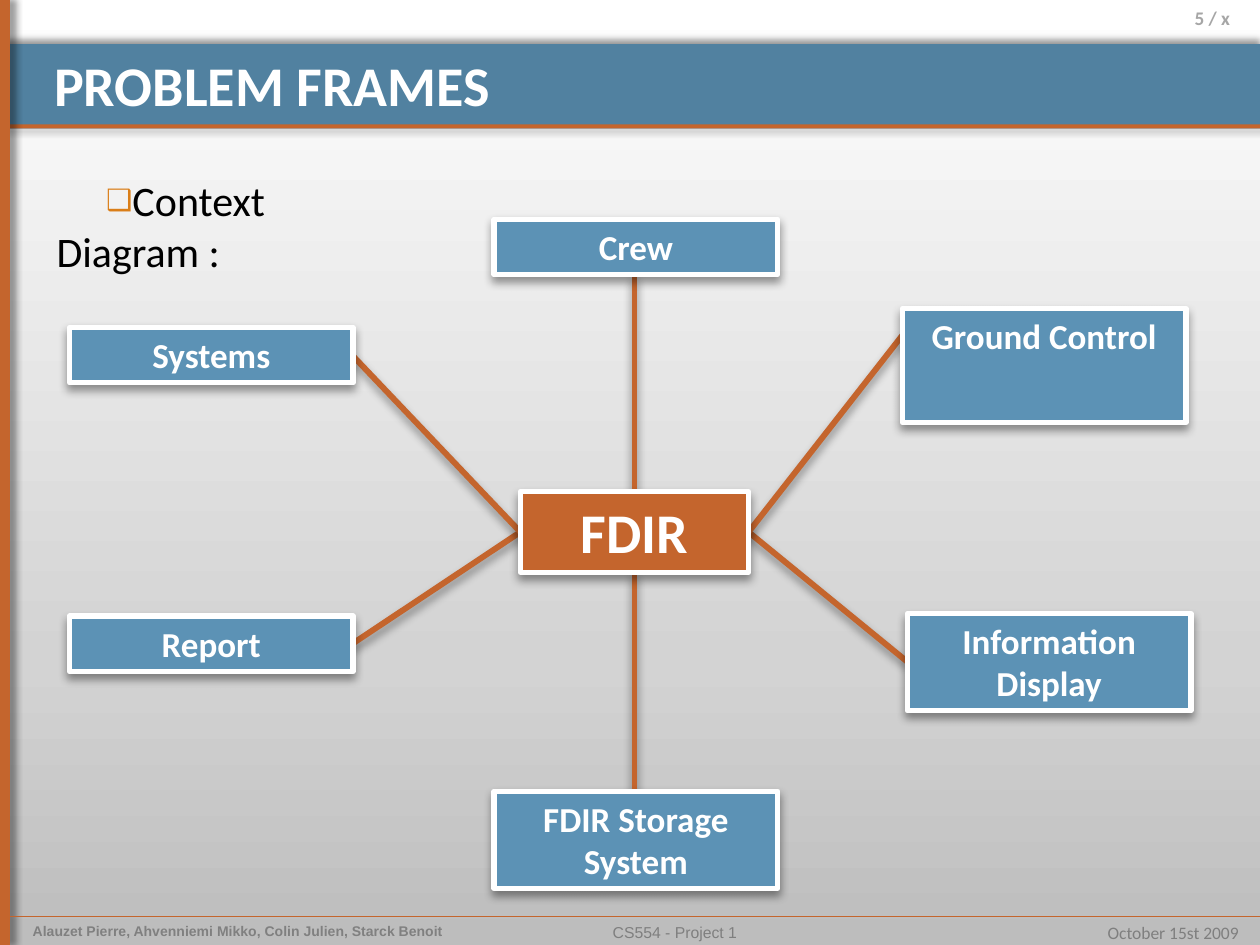
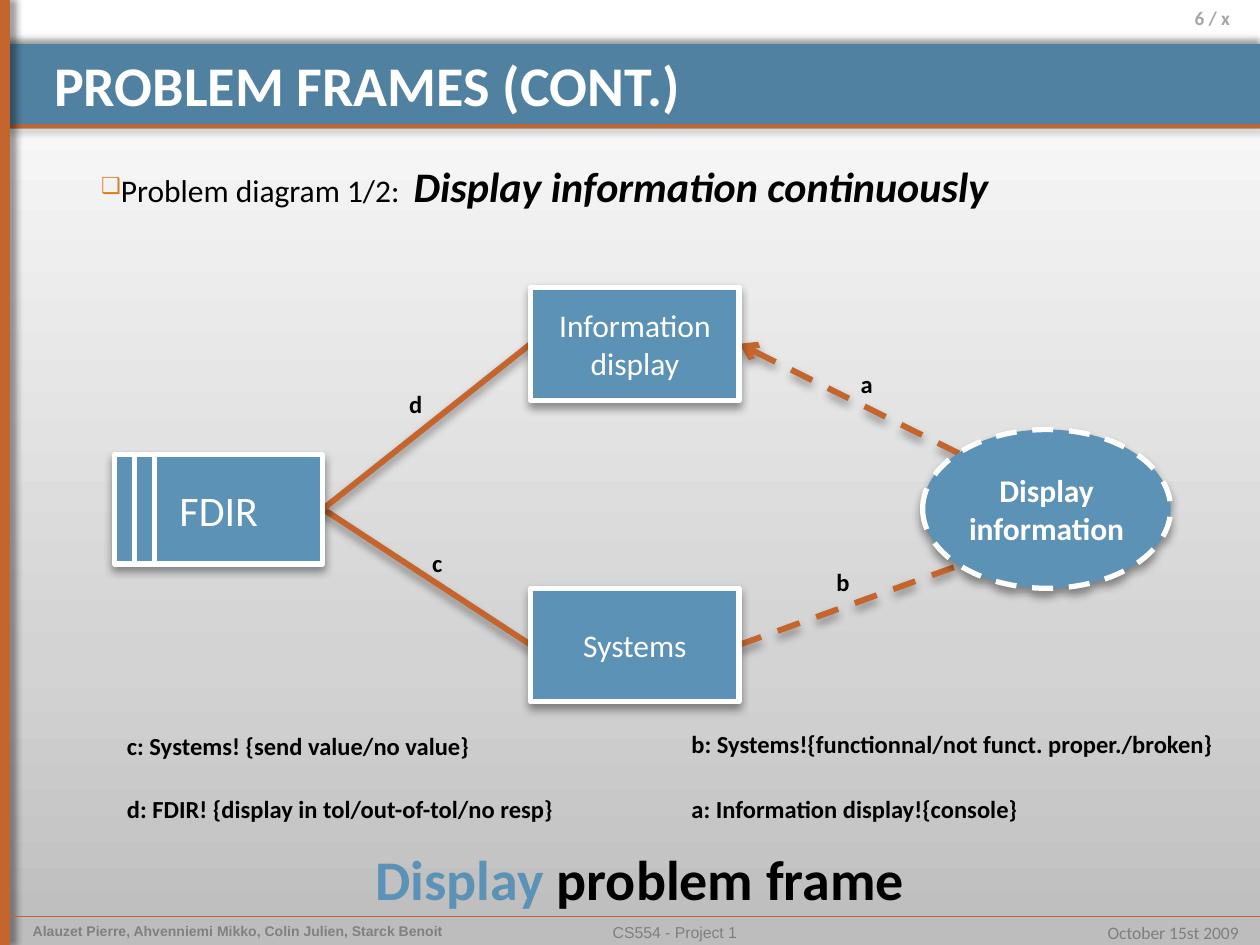
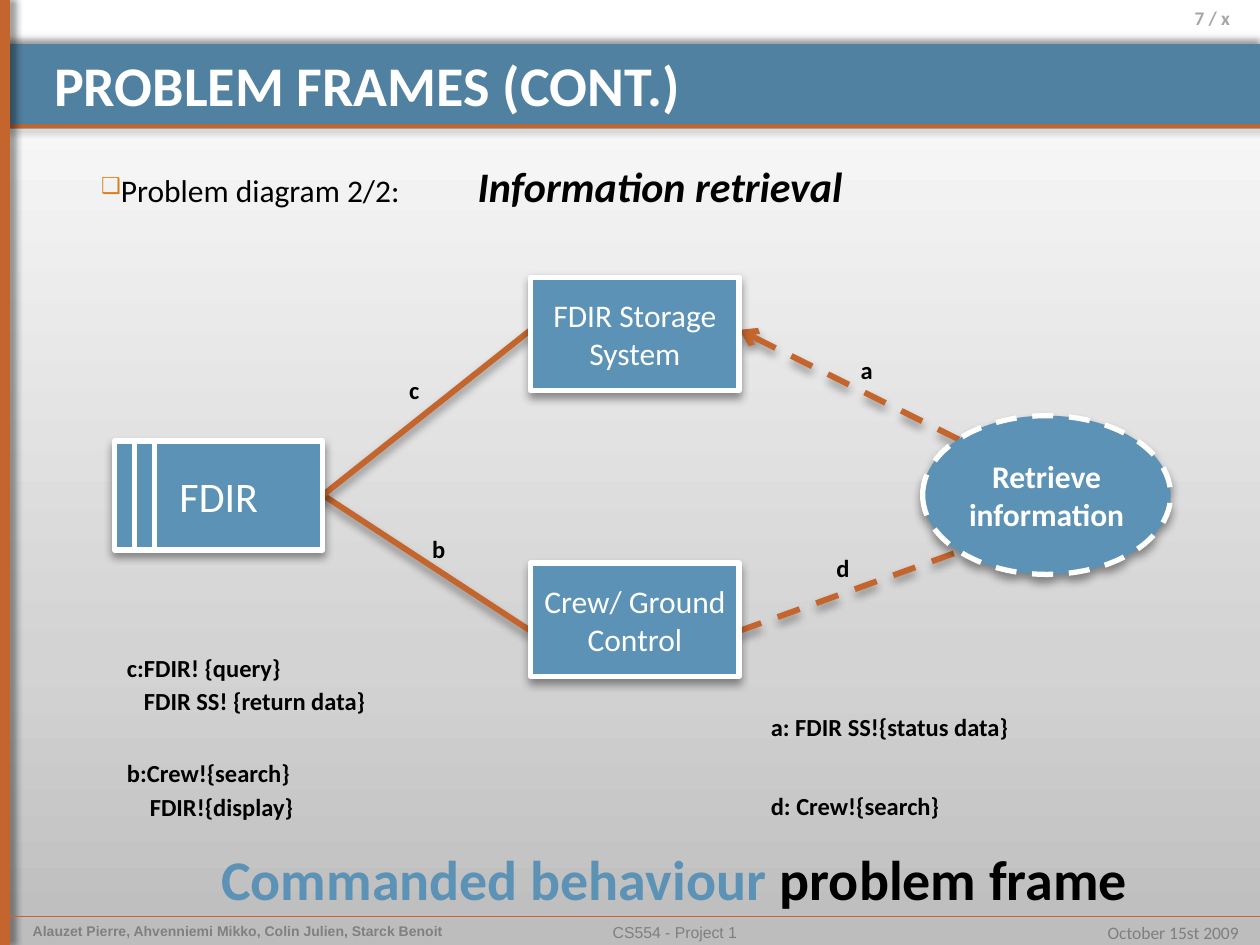
from copy import deepcopy

from lxml import etree
from pptx import Presentation
from pptx import util as u
from pptx.dml.color import RGBColor
from pptx.enum import dml, shapes, text
from pptx.oxml import ns

COLORS = {
    "band": "5181A0", "accent": "C4652D", "box": "5C92B5", "bullet": "DA7E18",
    "white": "FFFFFF", "black": "000000",
    "authors": "808080", "footer": "7F7F7F", "number": "A6A6A6",
}
BACKDROP = [(0, "BDBDBD"), (0.3, "D3D3D3"), (1, "FFFFFF")]
WIDTH, HEIGHT = 25.4, 19.05
LEFT, CENTER, RIGHT = text.PP_ALIGN.LEFT, text.PP_ALIGN.CENTER, text.PP_ALIGN.RIGHT
RECTANGLE, OVAL = shapes.MSO_SHAPE.RECTANGLE, shapes.MSO_SHAPE.OVAL


def rgb(name):
    return RGBColor.from_string(COLORS[name])


def add_node(parent, tag, **attributes):
    node = etree.SubElement(parent, ns.qn(tag))
    for key, value in attributes.items():
        node.set(key, str(value))
    return node


# ---- Elements ----
def set_shadow(item, angle=None, blur=5.2):
    """Give an item a soft shadow, or none when there is no angle."""
    effects = add_node(item._element.spPr, "a:effectLst")
    if angle is not None:
        shadow = add_node(effects, "a:outerShdw", blurRad=u.Pt(blur), dist=u.Pt(3),
                          dir=angle * 60000, rotWithShape=0)
        color = add_node(shadow, "a:srgbClr", val=COLORS["black"])
        add_node(color, "a:alpha", val=40000)


def write(frame, lines, size, color, bold=False, align=LEFT, font="Calibri", indent=0):
    """Fill a frame; a line is a string or a list of (text, color) spans."""
    for index, line in enumerate(lines):
        para = frame.add_paragraph() if index else frame.paragraphs[0]
        para.alignment = align
        if index:
            para.space_before = u.Pt(2.5)
            para._p.get_or_add_pPr().set("marL", str(u.Cm(indent)))
        para.font.name, para.font.size, para.font.bold = font, u.Pt(size), bold
        para.font.color.rgb = rgb(color)
        for words, span_color in [(line, color)] if isinstance(line, str) else line:
            span = para.add_run()
            span.text = words
            if span_color != color:
                span.font.color.rgb = rgb(span_color)


def add_text(page, place, lines, size, color, wrap=True, **style):
    box = page.shapes.add_textbox(*map(u.Cm, place))
    box.text_frame.word_wrap = wrap
    write(box.text_frame, lines, size, color, **style)


def add_strip(page, place, color, angle):
    strip = page.shapes.add_shape(RECTANGLE, *map(u.Cm, place))
    strip.fill.solid()
    strip.fill.fore_color.rgb = rgb(color)
    strip.line.fill.background()
    set_shadow(strip, angle, blur=4)


def add_box(page, place, label, size, fill="box", kind=RECTANGLE, bold=False,
            anchor=text.MSO_ANCHOR.MIDDLE):
    box = page.shapes.add_shape(kind, *map(u.Cm, place))
    box.fill.solid()
    box.fill.fore_color.rgb = rgb(fill)
    box.line.color.rgb = rgb("white")
    box.line.width = u.Pt(3)
    frame = box.text_frame
    frame.word_wrap = True
    frame.vertical_anchor = anchor
    if kind == OVAL:
        box.line.dash_style = dml.MSO_LINE.DASH
        frame.margin_left = frame.margin_right = 0
    set_shadow(box, 90)
    write(frame, [label], size, "white", bold=bold, align=CENTER)


def add_line(page, start, end, color="accent", width=3.35, dashed=False, arrow=False,
             angle=90, blur=5.2):
    line = page.shapes.add_connector(shapes.MSO_CONNECTOR.STRAIGHT,
                                     *map(u.Cm, (*start, *end)))
    line.line.color.rgb = rgb(color)
    line.line.width = u.Pt(width)
    if dashed:
        line.line.dash_style = dml.MSO_LINE.DASH
    if arrow:
        add_node(line.line._get_or_add_ln(), "a:tailEnd", type="arrow")
    set_shadow(line, angle, blur)


def add_bullet(page, place, size, words, tab=None):
    """Add a bulleted text box and return its paragraph."""
    box = page.shapes.add_textbox(*map(u.Cm, place))
    box.text_frame.word_wrap = True
    para = box.text_frame.paragraphs[0]
    props = para._p.get_or_add_pPr()
    props.set("marL", "0")
    props.set("indent", str(u.Cm(1)))
    add_node(add_node(props, "a:buClr"), "a:srgbClr", val=COLORS["bullet"])
    add_node(props, "a:buSzPct", val=70000)
    add_node(props, "a:buFont", typeface="Arial")
    add_node(props, "a:buChar", char="❑")
    if tab:
        add_node(add_node(props, "a:tabLst"), "a:tab", pos=u.Cm(tab), algn="l")
    para.font.name, para.font.size = "Calibri", u.Pt(size)
    para.font.color.rgb = rgb("black")
    para.add_run().text = words
    return para


# ---- Shared page frame ----
def set_backdrop(page):
    fill = page.background.fill
    fill.gradient()
    fill.gradient_angle = 90
    stops = next(page._element.iter(ns.qn("a:gsLst")))
    stops.insert(1, deepcopy(stops[0]))
    for stop, (position, color) in zip(fill.gradient_stops, BACKDROP):
        stop.position = position
        stop.color.rgb = RGBColor.from_string(color)


def add_page(deck, number, title):
    page = deck.slides.add_slide(deck.slide_layouts[6])
    set_backdrop(page)
    # Bands
    add_strip(page, (0, 0.89, WIDTH, 1.7), "band", 270)
    add_strip(page, (0, 2.51, WIDTH, 0.08), "accent", 45)
    add_strip(page, (0, 0, 0.2, HEIGHT), "accent", 0)
    # Footer and page number
    footer = 18.47
    add_line(page, (0.2, footer), (WIDTH, footer), width=0.25, angle=45, blur=4)
    add_text(page, (0.41, footer, 9.32, 0.58),
             ["Alauzet Pierre, Ahvenniemi Mikko, Colin Julien, Starck Benoit"],
             8, "authors", bold=True, font="Arial")
    add_text(page, (5.77, footer, 15.67, 0.58), ["CS554 - Project 1"], 9, "footer",
             align=CENTER, font="Arial")
    add_text(page, (22.02, footer, 3.2, 0.69), ["October 15st 2009"], 10, "footer",
             wrap=False, align=RIGHT)
    add_text(page, (22.08, 0, 2.97, 0.99), [f"{number} / x"], 11, "number",
             bold=True, align=RIGHT)
    # Title
    add_text(page, (0.84, 0.89, 23.57, 1.47), [title], 32, "white", bold=True)
    return page


# ---- Diagrams ----
def draw_context(page):
    para = add_bullet(page, (0.89, 3.4, 8, 1.32), 24, "Context")
    para.add_line_break()
    para.add_run().text = "Diagram :"

    left, top, width, height = hub = (10.49, 9.91, 4.6, 1.63)
    middle, center = top + height / 2, left + width / 2
    hub_left, hub_right = (left, middle), (left + width, middle)
    domains = [  # label, left, top, height, line start, line end
        ("Report", 1.4, 12.42, 1.12, (7.1, 12.98), hub_left),
        ("Systems", 1.4, 6.6, 1.12, (7.1, 7.16), hub_left),
        ("FDIR Storage System", 9.96, 15.95, 1.96, (center, 15.95), (center, top + height)),
        ("Crew", 9.96, 4.42, 1.12, (center, 5.54), (center, top)),
        ("Information Display", 18.29, 12.37, 1.96, (18.29, 13.34), hub_right),
        ("Ground Control", 18.19, 6.22, 2.3, (18.19, 6.76), hub_right),
    ]
    for *_, start, end in domains:
        add_line(page, start, end)
    for label, x, y, tall, *_ in domains:
        add_box(page, (x, y, 5.72, tall), label, 20, bold=True,
                anchor=text.MSO_ANCHOR.TOP)
    add_box(page, hub, "FDIR", 32, fill="accent", bold=True, anchor=text.MSO_ANCHOR.TOP)


def draw_problem(page, upper, lower, goal, letters, shift=0):
    """Draw machine, two (label, top) domains and the goal, raised by shift."""
    # Links
    machine_right, domain_left, domain_right, goal_left = 6.51, 10.7, 14.9, 19.33
    middle, upper_y, lower_y = 10.26 - shift, 6.93 - shift, 13 - shift
    add_line(page, (goal_left, 9.14 - shift), (domain_right, upper_y),
             dashed=True, arrow=True)
    add_line(page, (domain_right, lower_y), (goal_left, 11.4 - shift), dashed=True)
    for y in (lower_y, upper_y):
        add_line(page, (machine_right, middle), (domain_left, y))
    # Machine with its two bars
    left, top, height = 2.31, 9.17 - shift, 2.2
    add_box(page, (left, top, 4.2, height), "FDIR", 24)
    for bar in (1, 2):
        x = left + 0.4 * bar
        add_line(page, (x, top), (x, top + height), "white", 3, angle=None)
    # Domains and goal
    for label, y in (upper, lower):
        add_box(page, (domain_left, y, 4.2, 2.29), label, 18)
    add_box(page, (18.6, 8.66 - shift, 5, 3.2), goal, 18, kind=OVAL, bold=True)
    # Link letters: upper left, lower left, upper right, lower right
    spots = [(8, 7.72), (8.46, 10.92), (17.1, 7.32), (16.61, 11.3)]
    for letter, (x, y) in zip(letters, spots):
        add_text(page, (x, y - shift, 0.87, 0.86), [letter], 14, "black",
                 wrap=False, bold=True)


def add_heading(page, words, name, tab):
    para = add_bullet(page, (0.79, 3.12, 24, 1.4), 18, words + "\t", tab)
    span = para.add_run()
    span.text = name
    span.font.size, span.font.bold, span.font.italic = u.Pt(24), True, True


def add_captions(page, captions):
    for lines, x, y, width, indent in captions:
        add_text(page, (x, y, width, 0.86 + 0.71 * (len(lines) - 1)), lines, 14, "black",
                 wrap=False, bold=True, indent=indent)


def add_frame_name(page, name, left, width):
    add_text(page, (left, 16.9, width, 1.63),
             [[(name + " ", "box"), ("problem frame", "black")]], 32, "black",
             wrap=False, bold=True, align=CENTER)


def main():
    deck = Presentation()
    deck.slide_width, deck.slide_height = u.Cm(WIDTH), u.Cm(HEIGHT)

    # Context diagram
    draw_context(add_page(deck, 5, "PROBLEM FRAMES"))

    # Display problem
    page = add_page(deck, 6, "PROBLEM FRAMES (CONT.)")
    add_heading(page, "Problem diagram 1/2:", "Display information continuously", 7.3)
    draw_problem(page, ("Information display", 5.79), ("Systems", 11.86),
                 "Display information", "dcab")
    add_captions(page, [
        (["c: Systems! {send value/no value}"], 2.31, 14.61, 7.49, 0),
        (["d: FDIR! {display in tol/out-of-tol/no resp}"], 2.31, 15.88, 9.22, 0),
        (["b: Systems!{functionnal/not funct. proper./broken}"], 13.69, 14.58, 11.3, 0),
        (["a: Information display!{console}"], 13.69, 15.88, 7.26, 0),
    ])
    add_frame_name(page, "Display", 7.11, 11.58)

    # Information retrieval problem
    page = add_page(deck, 7, "PROBLEM FRAMES (CONT.)")
    add_heading(page, "Problem diagram 2/2:", "Information retrieval", 8.59)
    draw_problem(page, ("FDIR Storage System", 5.59), ("Crew/ Ground Control", 11.35),
                 "Retrieve information", "cbad", shift=0.28)
    add_captions(page, [
        (["c:FDIR! {query}", "FDIR SS! {return data}"], 2.31, 13.03, 5.36, 0.34),
        (["b:Crew!{search}", "FDIR!{display}"], 2.31, 15.16, 4.06, 0.46),
        (["a: FDIR SS!{status data}"], 15.29, 14.22, 5.46, 0),
        (["d: Crew!{search}"], 15.29, 15.82, 4.19, 0),
    ])
    add_frame_name(page, "Commanded behaviour", 4.11, 18.97)

    deck.save("out.pptx")


if __name__ == "__main__":
    main()
